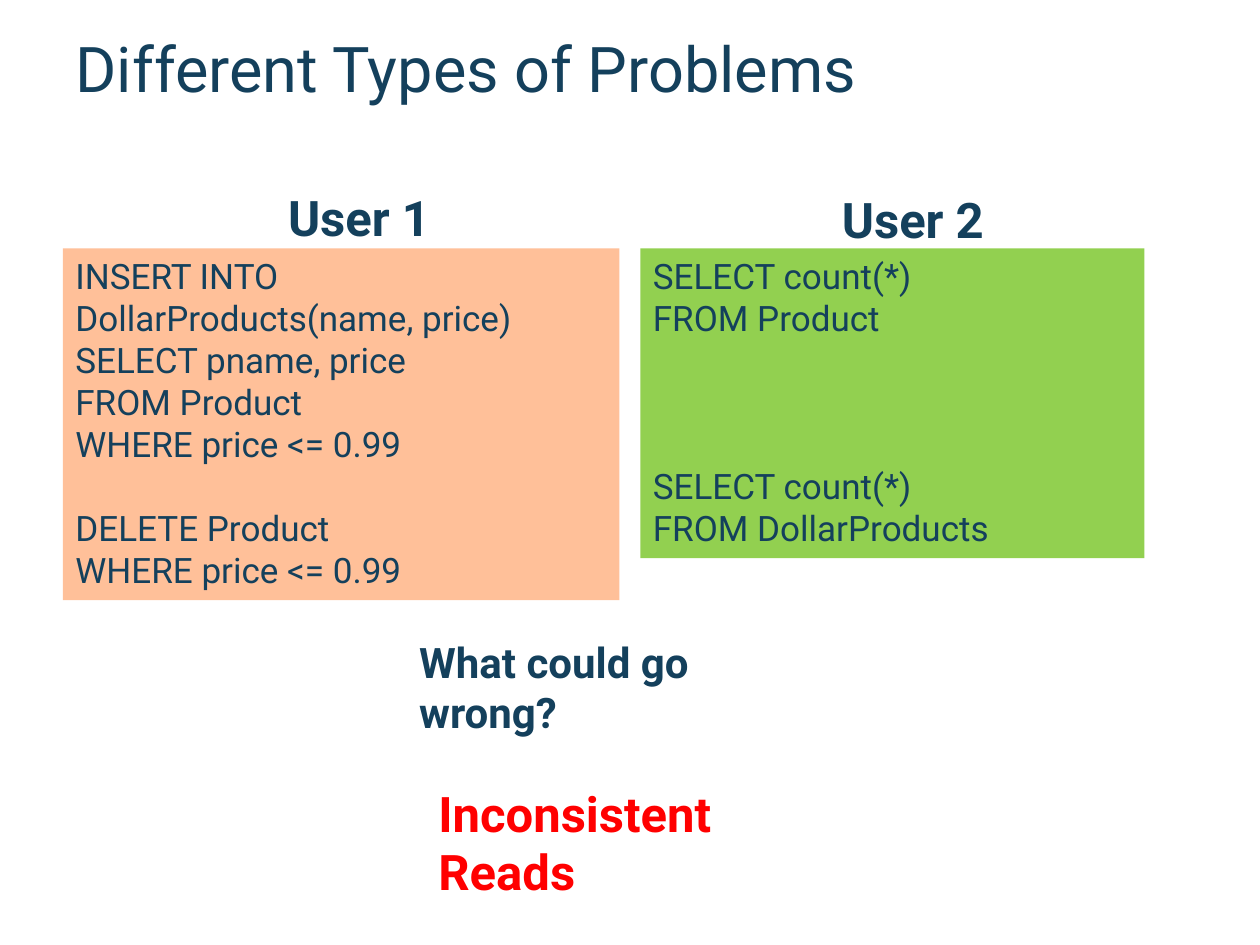
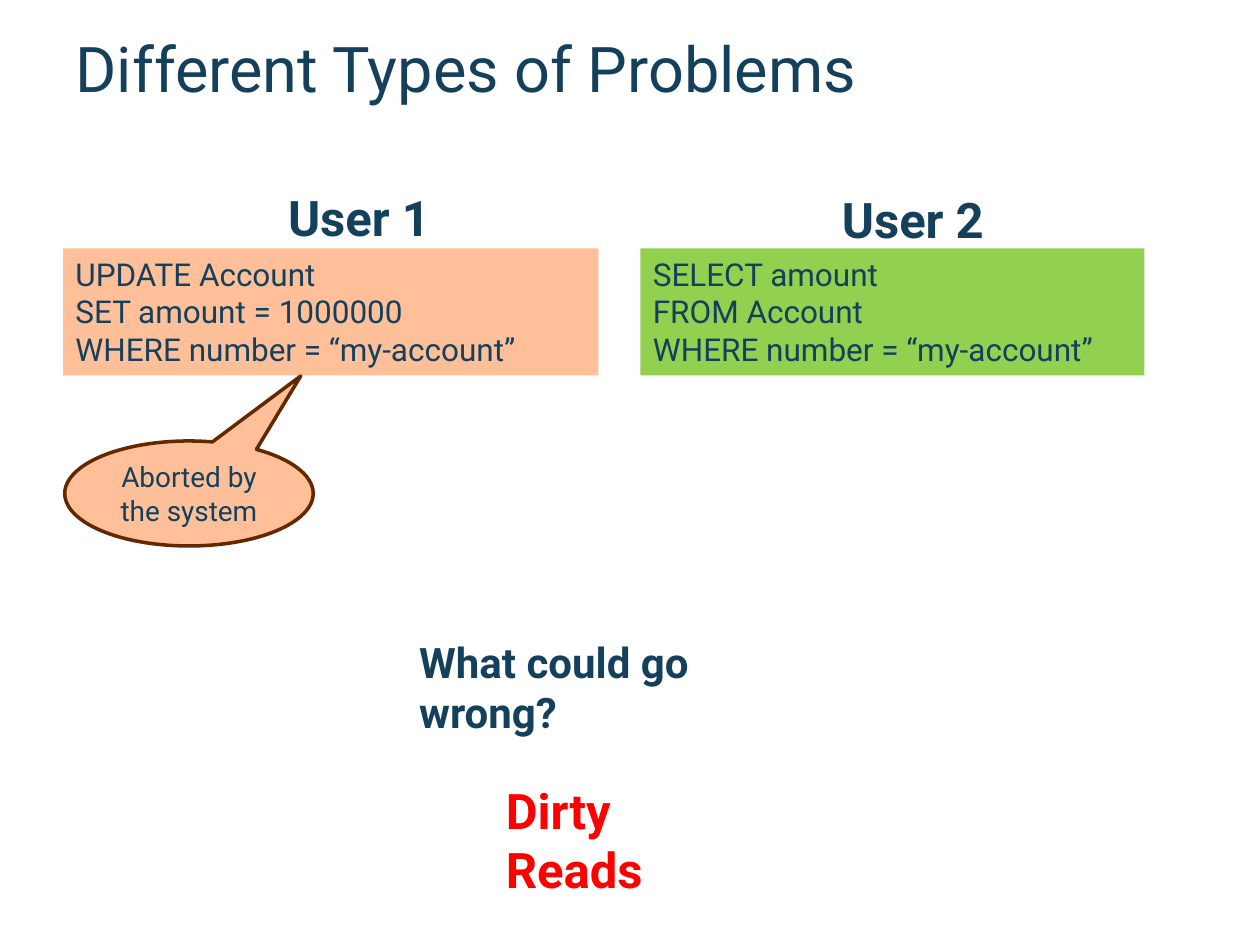
from dataclasses import dataclass

import pptx
import pptx.dml.color
import pptx.enum.shapes
import pptx.enum.text
import pptx.util

Pt = pptx.util.Pt
Color = pptx.dml.color.RGBColor.from_string
Align = pptx.enum.text.PP_ALIGN
Anchor = pptx.enum.text.MSO_ANCHOR
Shape = pptx.enum.shapes.MSO_SHAPE


@dataclass(frozen=True)
class Theme:
    font: str = "Roboto"
    ink: str = "14405C"
    alert: str = "FF0000"
    peach: str = "FFC099"
    green: str = "92D050"
    brown: str = "642700"
    title_size: int = 36
    heading_size: int = 28
    question_size: int = 24
    note_size: int = 16


THEME = Theme()
TITLE_BOX = (36, 18, 648, 41)
QUESTION_BOX = (232.5, 360, 240.5, 36)
PANEL_TOP = 142
HEADING_WIDTH, HEADING_HEIGHT = 101.5, 41


def write(shape, lines, size, color=THEME.ink, bold=False,
          align=Align.LEFT, anchor=Anchor.TOP, gaps=None):
    """Fill a shape with lines; gaps maps a line's index to its space before."""
    frame = shape.text_frame
    frame.word_wrap = True
    frame.auto_size = pptx.enum.text.MSO_AUTO_SIZE.NONE
    frame.vertical_anchor = anchor
    frame.text = "\n".join(lines)
    for index, para in enumerate(frame.paragraphs):
        para.alignment = align
        para.space_before = Pt((gaps or {}).get(index, 0))
        para.font.name = THEME.font
        para.font.size = Pt(size)
        para.font.bold = bold
        para.font.color.rgb = Color(color)


def add_label(page, box, text, size, color=THEME.ink):
    label = page.shapes.add_textbox(*map(Pt, box))
    write(label, [text], size, color, bold=True)


def add_filled(page, kind, box, fill):
    shape = page.shapes.add_shape(kind, *map(Pt, box))
    shape.shadow.inherit = False
    shape.fill.solid()
    shape.fill.fore_color.rgb = Color(fill)
    shape.line.fill.background()
    return shape


def add_panel(page, box, heading, heading_offset, fill, lines, size, gaps=None):
    """A user's statements on a coloured panel, with the heading above."""
    left, top = box[:2]
    shift, rise = heading_offset
    panel = add_filled(page, Shape.RECTANGLE, box, fill)
    write(panel, lines, size, gaps=gaps)
    heading_box = (left + shift, top - rise, HEADING_WIDTH, HEADING_HEIGHT)
    add_label(page, heading_box, heading, THEME.heading_size)


def add_callout(page, box, text):
    callout = add_filled(page, Shape.OVAL_CALLOUT, box, THEME.peach)
    callout.adjustments[0] = 0.45
    callout.adjustments[1] = -1.12
    callout.line.color.rgb = Color(THEME.brown)
    callout.line.width = Pt(2)
    write(callout, [text], THEME.note_size, align=Align.CENTER, anchor=Anchor.MIDDLE)


def add_problem_page(deck, size, first, second, answer, answer_box):
    """Two users side by side, the question below, then the answer.

    Each user is given as width, height, lines and gaps.
    """
    page = deck.slides.add_slide(deck.slide_layouts[5])

    # Title
    title = page.shapes.title
    title.left, title.top, title.width, title.height = map(Pt, TITLE_BOX)
    write(title, ["Different Types of Problems"], THEME.title_size, anchor=Anchor.MIDDLE)

    # Users
    users = [
        ("User 1", 36, (121.5, 38.5), THEME.peach, first),
        ("User 2", 366, (108, 37), THEME.green, second),
    ]
    for heading, left, offset, fill, (width, height, lines, gaps) in users:
        add_panel(page, (left, PANEL_TOP, width, height), heading, offset,
                  fill, lines, size, gaps)

    # Question and answer
    add_label(page, QUESTION_BOX, "What could go wrong?", THEME.question_size)
    add_label(page, answer_box, answer, THEME.heading_size, THEME.alert)
    return page


def main():
    deck = pptx.Presentation()
    deck.slide_width, deck.slide_height = Pt(720), Pt(540)

    # Inconsistent reads
    move_products = [
        "INSERT INTO DollarProducts(name, price)",
        "SELECT pname, price",
        "FROM Product",
        "WHERE price <= 0.99",
        "DELETE Product",
        "WHERE price <= 0.99",
    ]
    count_products = [
        "SELECT count(*)",
        "FROM Product",
        "SELECT count(*)",
        "FROM DollarProducts",
    ]
    add_problem_page(
        deck, 20,
        (318, 201, move_products, {4: 24}),
        (288, 177, count_products, {2: 72}),
        "Inconsistent Reads", (243.5, 444, 233, 41))

    # Dirty reads
    condition = "WHERE number = “my-account”"
    update_account = ["UPDATE Account", "SET amount = 1000000", condition]
    read_account = ["SELECT amount", "FROM Account", condition]
    page = add_problem_page(
        deck, 18,
        (306, 72.5, update_account, None),
        (288, 72.5, read_account, None),
        "Dirty Reads", (282, 442.5, 149, 41))
    add_callout(page, (37, 252, 142, 60), "Aborted by the system")

    deck.save("out.pptx")


if __name__ == "__main__":
    main()
